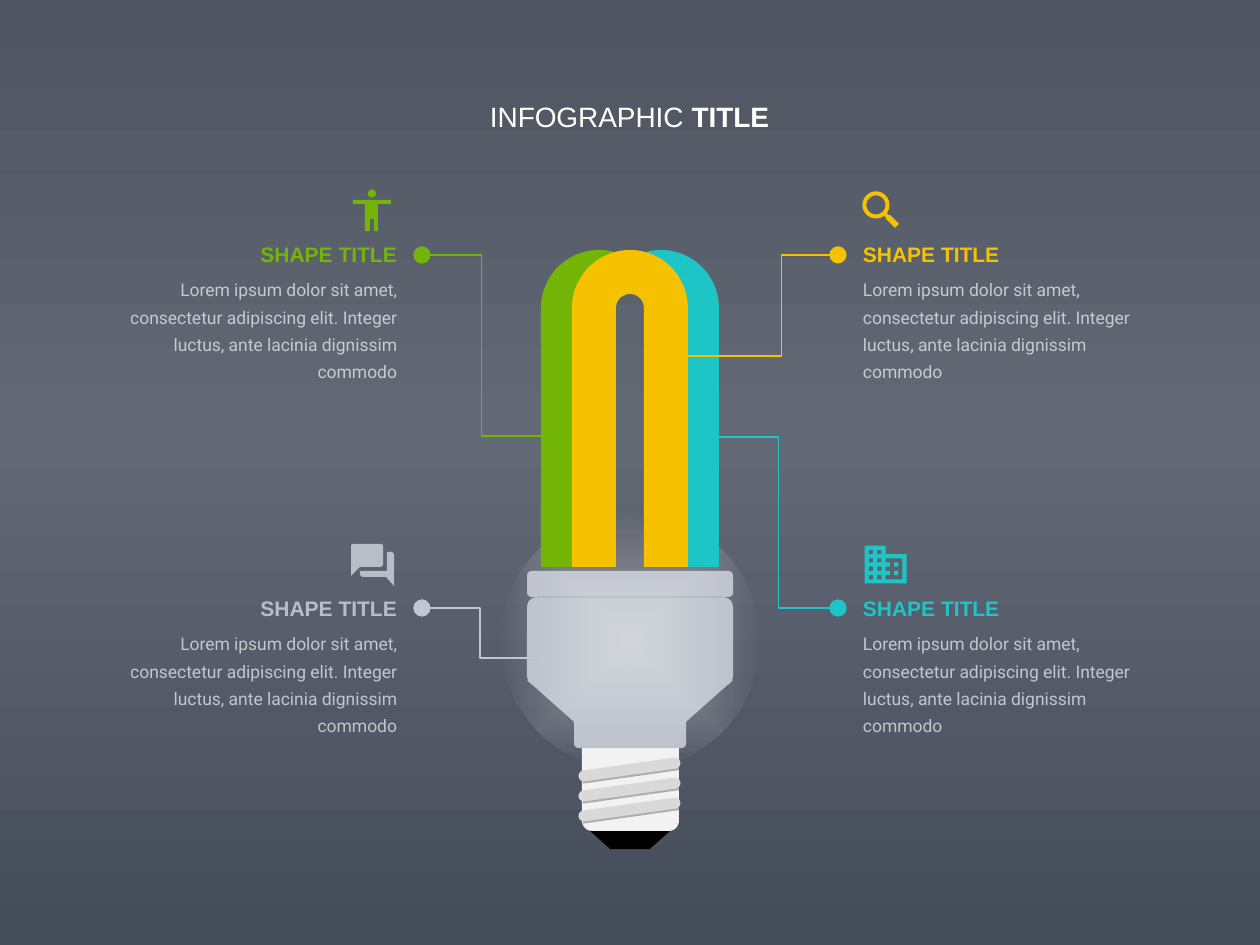
import math

from lxml import etree
from pptx import Presentation
from pptx import util as u
from pptx.dml.color import RGBColor
from pptx.enum import shapes, text
from pptx.oxml import ns

PX = 914400 / 126
COLORS = {
    "green": "72B506", "yellow": "F6C200", "cyan": "1EC5C6", "silver": "B8BEC8",
    "lead": "C1C7CF", "white": "FFFFFF", "black": "000000", "cap": "F2F2F2",
    "thread": "D9D9D9", "sky_top": "4F5461", "sky_mid": "636875", "sky_low": "454C59",
}
LOREM = ("Lorem ipsum dolor sit amet, consectetur adipiscing elit. "
         "Integer luctus, ante lacinia dignissim commodo")
KIND = shapes.MSO_SHAPE
ALIGN = text.PP_ALIGN
TUBE_Y, TUBE_OUT, TUBE_IN, TUBE_FOOT = 308, 58, 14, 567


def px(value):
    return u.Emu(round(value * PX))


def rgb(color):
    return RGBColor.from_string(COLORS[color])


def add(parent, tag, **attributes):
    return etree.SubElement(parent, ns.qn(tag), attributes)


def set_alpha(parent, percent):
    """Make the solid colour found under parent see-through."""
    color = next(parent.iter(ns.qn("a:srgbClr")))
    add(color, "a:alpha", val=str(percent * 1000))


def set_gradient(parent, stops, radial=False):
    """Swap the solid fill of parent for stops of (position, colour, alpha)."""
    solid = parent.find(ns.qn("a:solidFill"))
    grad = etree.Element(ns.qn("a:gradFill"), rotWithShape="1")
    parent.replace(solid, grad)
    stop_list = add(grad, "a:gsLst")
    for position, color, alpha in stops:
        stop = add(stop_list, "a:gs", pos=str(position * 1000))
        add(stop, "a:srgbClr", val=COLORS[color])
        set_alpha(stop, alpha)
    if radial:
        shade = add(grad, "a:path", path="shape")
        add(shade, "a:fillToRect", l="50000", t="50000", r="50000", b="50000")
    else:
        add(grad, "a:lin", ang="5400000", scaled="0")


def arc(cx, cy, radius, start=0, end=360):
    """Points along a circle, in degrees counted anticlockwise from the right."""
    steps = max(2, round(abs(end - start) / 6))
    angles = [math.radians(start + (end - start) * i / steps) for i in range(steps + 1)]
    return [(cx + radius * math.cos(a), cy - radius * math.sin(a)) for a in angles]


def unit_square(x, y):
    return [(x, y), (x + 1, y), (x + 1, y + 1), (x, y + 1)]


class Deck:
    def __init__(self):
        self.prs = Presentation()
        self.prs.slide_width, self.prs.slide_height = px(1260), px(945)
        self.slide = self.prs.slides.add_slide(self.prs.slide_layouts[6])
        self.shapes = self.slide.shapes

    def background(self, stops):
        self.slide.background.fill.solid()
        set_gradient(next(self.slide.element.iter(ns.qn("p:bgPr"))), stops)

    def paint(self, shape, color, alpha=None):
        shape.shadow.inherit = False
        shape.fill.solid()
        shape.fill.fore_color.rgb = rgb(color)
        shape.line.fill.background()
        if alpha is not None:
            set_alpha(shape.element.spPr, alpha)
        return shape

    def preset(self, kind, place, color, adj=None, rotation=0, alpha=None):
        shape = self.shapes.add_shape(kind, *map(px, place))
        if adj is not None:
            shape.adjustments[0] = adj
        shape.rotation = rotation
        return self.paint(shape, color, alpha)

    def outline(self, contours, color):
        points = [[(px(x), px(y)) for x, y in contour] for contour in contours]
        builder = self.shapes.build_freeform(*points[0][0])
        for i, (first, *rest) in enumerate(points):
            if i:
                builder.move_to(*first)
            builder.add_line_segments(rest)
        return self.paint(builder.convert_to_shape(), color)

    def tube(self, cx, color, start=180, end=0):
        """Arch of the lamp; a leg stands only where the arc reaches the level."""
        points = arc(cx, TUBE_Y, TUBE_OUT, start, end)
        if end == 0:
            points += [(cx + TUBE_OUT, TUBE_FOOT), (cx + TUBE_IN, TUBE_FOOT)]
        points += arc(cx, TUBE_Y, TUBE_IN, end, start)
        if start == 180:
            points += [(cx - TUBE_IN, TUBE_FOOT), (cx - TUBE_OUT, TUBE_FOOT)]
        self.outline([points], color)

    def line(self, start, end, color, width=1, bend=None, alpha=None):
        """Straight line, or an elbow with a round end if bend is given."""
        kind = shapes.MSO_CONNECTOR.STRAIGHT if bend is None else shapes.MSO_CONNECTOR.ELBOW
        link = self.shapes.add_connector(kind, *map(px, (*start, *end)))
        link.line.color.rgb = rgb(color)
        link.line.width = u.Pt(width)
        props = link.element.spPr
        if alpha is not None:
            set_alpha(props, alpha)
        if bend is not None:
            guides = next(props.iter(ns.qn("a:avLst")))
            add(guides, "a:gd", name="adj1", fmla=f"val {round(bend * 100000)}")
            add(props.find(ns.qn("a:ln")), "a:tailEnd", type="oval", w="lg", len="lg")
        add(props, "a:effectLst")

    def label(self, place, runs, size, font, color, align, bold=False, alpha=None,
              inset=25, spacing=None, middle=True, grow=True):
        """Text box of one paragraph; runs are (words, bold) pairs or one string."""
        frame = self.shapes.add_textbox(*map(px, place)).text_frame
        frame.word_wrap = True
        frame.margin_left = frame.margin_right = px(inset)
        frame.margin_top = frame.margin_bottom = 0
        frame.vertical_anchor = text.MSO_ANCHOR.MIDDLE if middle else text.MSO_ANCHOR.TOP
        if grow:
            frame.auto_size = text.MSO_AUTO_SIZE.SHAPE_TO_FIT_TEXT
        paragraph = frame.paragraphs[0]
        paragraph.alignment = align
        if spacing:
            paragraph.line_spacing = spacing
        for words, heavy in [(runs, bold)] if isinstance(runs, str) else runs:
            run = paragraph.add_run()
            run.text = words
            run.font.size, run.font.name, run.font.bold = u.Pt(size), font, heavy
            run.font.color.rgb = rgb(color)
            if alpha is not None:
                set_alpha(run.font._element, alpha)

    def callout(self, left, top, color, align):
        self.label((left, top + 31, 340, 107), LOREM, 10, "Roboto", "white", align,
                   alpha=65, spacing=1.3, middle=False)
        self.label((left, top, 340, 25), "SHAPE TITLE", 12, "Arial", color, align, bold=True)


def draw_icons(deck):
    person = [(391, 204), (378, 204), (378, 231), (374, 231), (374, 219), (370, 219),
              (370, 231), (365, 231), (365, 204), (353, 204), (353, 200), (391, 200)]
    deck.outline([arc(372, 193.5, 4), person], "green")

    handle = [(886, 217), (886, 219), (895, 228), (899, 224), (890, 215), (888, 215)]
    deck.outline([arc(876, 205, 13.5, -35, 305) + handle, arc(876, 205, 9.5)], "yellow")

    wall = [(0, 0), (5, 0), (5, 2), (10, 2), (10, 9), (0, 9)]
    yard = [(9, 3), (9, 8), (5, 8), (5, 7), (6, 7), (6, 6),
            (5, 6), (5, 5), (6, 5), (6, 4), (5, 4), (5, 3)]
    windows = [unit_square(column, row) for column in (1, 3) for row in (1, 3, 5, 7)]
    building = [wall, yard, *windows, unit_square(7, 4), unit_square(7, 6)]
    deck.outline([[(864.7 + 4.2 * x, 545.7 + 4.2 * y) for x, y in part]
                  for part in building], "cyan")

    back_bubble = [(392, 552), (387, 552), (387, 571), (360, 571), (360, 575), (362, 577),
                   (386, 577), (394, 586), (394, 554)]
    front_bubble = [(383, 565), (383, 545), (381, 544), (353, 544), (351, 545), (351, 576),
                    (360, 567), (381, 567)]
    deck.outline([back_bubble, front_bubble], "silver")


def draw_socket(deck):
    deck.preset(KIND.ROUNDED_RECTANGLE, (582, 736, 97, 95), "cap", 0.108)
    deck.preset(KIND.TRAPEZOID, (590, 831, 80, 18), "black", 1.125, 180)
    deck.preset(KIND.ROUNDED_RECTANGLE, (527, 571, 206, 26), "silver")
    deck.preset(KIND.ROUNDED_RECTANGLE, (527, 597, 206, 89), "silver", 0.108)
    deck.preset(KIND.TRAPEZOID, (527, 680, 206, 42), "silver", 1.125, 180)
    deck.preset(KIND.ROUND_2_SAME_RECTANGLE, (574, 722, 112, 26), "silver", rotation=180)
    deck.line((537, 597), (723, 597), "black", width=0.5, alpha=24)
    glow = deck.preset(KIND.OVAL, (501, 512, 258, 258), "white")
    set_gradient(glow.element.spPr, [(0, "white", 38), (100, "white", 0)], radial=True)
    turns = [20 * i for i in range(3)]
    for turn in turns:
        deck.preset(KIND.RECTANGLE, (582, 766 + turn, 97, 11), "black", rotation=352, alpha=28)
    for turn in turns:
        deck.preset(KIND.ROUNDED_RECTANGLE, (578, 764 + turn, 103, 11), "thread", 0.5, 352)


def main():
    deck = Deck()
    deck.background([(0, "sky_top", 100), (46, "sky_mid", 100), (100, "sky_low", 100)])
    draw_icons(deck)
    draw_socket(deck)
    for left, top, color, align in [
        (838, 596, "cyan", ALIGN.LEFT), (838, 242, "yellow", ALIGN.LEFT),
        (82, 596, "silver", ALIGN.RIGHT), (82, 242, "green", ALIGN.RIGHT),
    ]:
        deck.callout(left, top, color, align)
    deck.label((418, 106, 423, 21), [("INFOGRAPHIC", False), (" TITLE", True)], 16, "Arial",
               "white", ALIGN.CENTER, inset=0, grow=False)
    deck.tube(661, "cyan", start=148)
    deck.tube(599, "green", end=26)
    deck.tube(630, "yellow")
    for start, end, color, bend in [
        ((719, 437), (838, 608), "cyan", 0.5), ((677, 356), (838, 255), "yellow", 0.65),
        ((541, 436), (422, 255), "green", 0.5), ((551, 658), (422, 608), "lead", 0.55),
    ]:
        deck.line(start, end, color, bend=bend)
    deck.prs.save("out.pptx")


if __name__ == "__main__":
    main()
